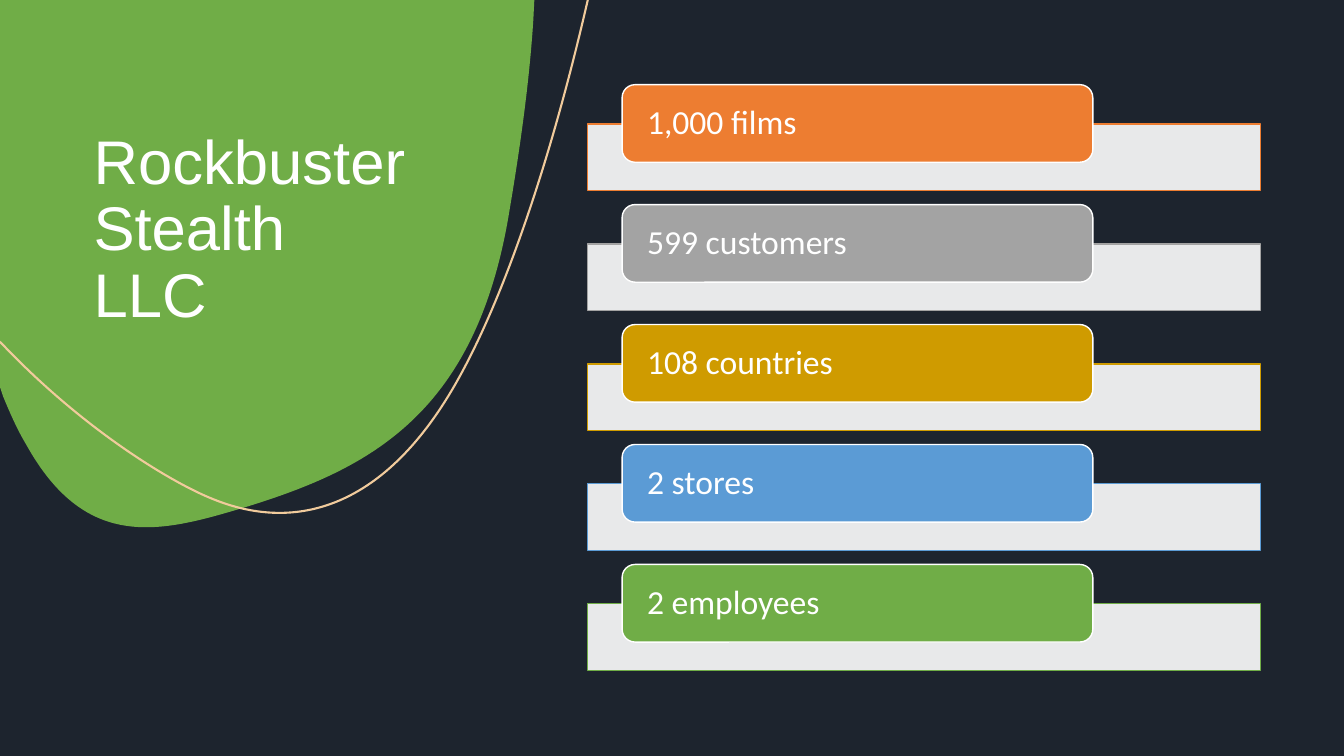
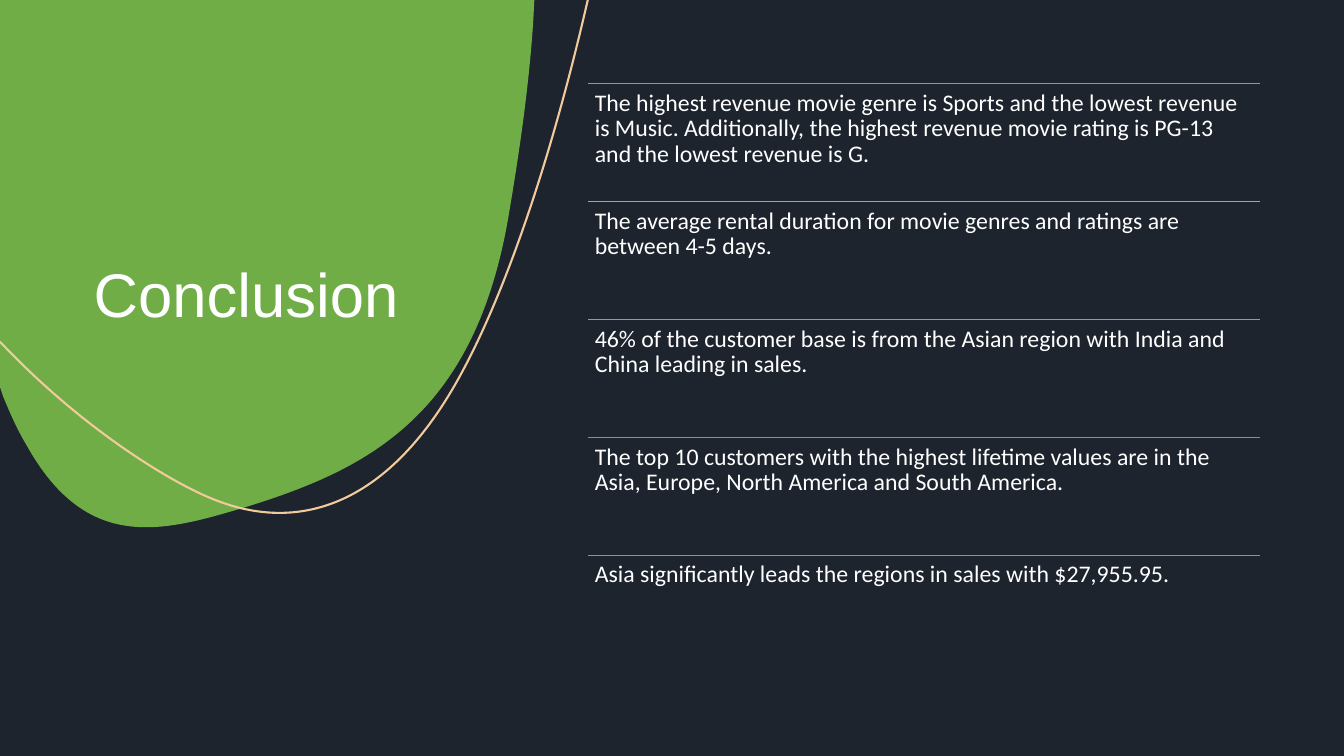
import pptx
import pptx.util
import pptx.dml.color
import pptx.enum.shapes
import pptx.enum.text
import pptx.oxml
import pptx.oxml.ns

Inches = pptx.util.Inches
ANCHOR = pptx.enum.text.MSO_ANCHOR
SHAPE = pptx.enum.shapes.MSO_SHAPE
qn = pptx.oxml.ns.qn

DARK, WHITE, GREEN, CREAM = "1D242E", "FFFFFF", "70AD47", "F1CB9C"
ACCENTS = ["ED7D31", "A3A3A3", "CF9B00", "5B9BD5", GREEN]
LIST_LEFT, LIST_WIDTH = 5.83, 6.67

BLOB_START = (5.3, 0)
BLOB_STEPS = [
    [(5.29, 0.2)],
    [(5.25, 0.82), (5.16, 1.46), (5.05, 2.11)],
    [(4.72, 4.11), (3.67, 4.65), (2.44, 5.03)],
    [(1.61, 5.28), (0.86, 5.49), (0.26, 4.41)],
    [(0.17, 4.26), (0.1, 4.1), (0.03, 3.93)],
    [(0, 3.84)],
    [(0, 0)],
]
SWEEP_START = (5.83, 0)
SWEEP_STEPS = [
    [(5.47, 1.57), (5.01, 2.93), (4.54, 3.77)],
    [(3.83, 5.04), (2.94, 5.29), (2.11, 4.95)],
    [(1.73, 4.8), (0.84, 4.28), (0, 3.39)],
]

FACTS = ["1,000 films", "599 customers", "108 countries", "2 stores", "2 employees"]
FINDINGS = [
    "The highest revenue movie genre is Sports and the lowest revenue is Music. "
    "Additionally, the highest revenue movie rating is PG-13 and the lowest revenue is G.",
    "The average rental duration for movie genres and ratings are between 4-5 days.",
    "46% of the customer base is from the Asian region with India and China leading in sales.",
    "The top 10 customers with the highest lifetime values are in the Asia, Europe, "
    "North America and South America.",
    "Asia significantly leads the regions in sales with $27,955.95.",
]


def colour(value):
    return pptx.dml.color.RGBColor.from_string(value)


def paint(shape, fill=None, line=None, weight=1):
    shape.shadow.inherit = False
    if fill:
        shape.fill.solid()
        shape.fill.fore_color.rgb = colour(fill)
    else:
        shape.fill.background()
    if line:
        shape.line.color.rgb = colour(line)
        shape.line.width = pptx.util.Pt(weight)
    else:
        shape.line.fill.background()


def write(shape, text, size, font, anchor, inset_x, inset_y):
    frame = shape.text_frame
    frame.word_wrap = True
    frame.vertical_anchor = anchor
    frame.margin_left = frame.margin_right = Inches(inset_x)
    frame.margin_top = frame.margin_bottom = Inches(inset_y)
    para = frame.paragraphs[0]
    para.text = text
    para.alignment = pptx.enum.text.PP_ALIGN.LEFT
    para.line_spacing = 0.9
    para.font.size = pptx.util.Pt(size)
    para.font.name = font
    para.font.color.rgb = colour(WHITE)


def add_box(page, kind, left, top, width, height):
    return page.shapes.add_shape(kind, Inches(left), Inches(top), Inches(width), Inches(height))


def add_text(page, left, top, width, height, *style):
    box = page.shapes.add_textbox(Inches(left), Inches(top), Inches(width), Inches(height))
    write(box, *style)


def add_curve(page, start, steps, height, close):
    points = [(Inches(x), Inches(y)) for step in steps for x, y in step]
    builder = page.shapes.build_freeform(Inches(start[0]), Inches(start[1]))
    builder.add_line_segments(points, close=close)
    shape = builder.convert_to_shape()
    shape.height = Inches(height)
    outline = shape._element.find(".//" + qn("a:path"))
    outline.set("h", str(Inches(height)))
    segments = iter(outline.findall(qn("a:lnTo")))
    for step in steps:
        segment = next(segments)
        if len(step) == 3:
            bezier = pptx.oxml.parse_xml(f'<a:cubicBezTo {pptx.oxml.ns.nsdecls("a")}/>')
            segment.addprevious(bezier)
            for corner in (segment, next(segments), next(segments)):
                bezier.append(corner[0])
                outline.remove(corner)
    return shape


def add_page(deck, title):
    page = deck.slides.add_slide(deck.slide_layouts[6])
    page.background.fill.solid()
    page.background.fill.fore_color.rgb = colour(DARK)
    paint(add_curve(page, BLOB_START, BLOB_STEPS, 5.23, True), GREEN)
    paint(add_curve(page, SWEEP_START, SWEEP_STEPS, 5.09, False), None, CREAM, 1.5)
    add_text(page, 0.83, 0.83, 3.33, 2.5, title, 44, "Arial", ANCHOR.BOTTOM, 0.1, 0.05)
    return page


def add_fact(page, left, top, width, text, accent):
    bar = add_box(page, SHAPE.RECTANGLE, left, top + 0.39, width, 0.66)
    paint(bar, WHITE, accent)
    white = bar._element.spPr.find(qn("a:solidFill"))[0]
    white.append(pptx.oxml.parse_xml(f'<a:alpha {pptx.oxml.ns.nsdecls("a")} val="90000"/>'))
    label = add_box(page, SHAPE.ROUNDED_RECTANGLE, left + 0.34, top, width * 0.7, 0.77)
    paint(label, accent, WHITE)
    write(label, text, 24, "Calibri", ANCHOR.MIDDLE, 0.21, 0)


def add_finding(page, left, top, width, text, accent):
    rule = page.shapes.add_connector(
        pptx.enum.shapes.MSO_CONNECTOR.STRAIGHT,
        Inches(left), Inches(top), Inches(left + width), Inches(top))
    rule.line.color.rgb = colour(accent)
    rule.line.width = pptx.util.Pt(1)
    rule._element.spPr.append(pptx.oxml.parse_xml(f'<a:effectLst {pptx.oxml.ns.nsdecls("a")}/>'))
    add_text(page, left, top, width, 1.17, text, 17, "Calibri", ANCHOR.TOP, 0.07, 0.07)


def add_list(page, add_item, texts, top, pitch):
    for index, (text, accent) in enumerate(zip(texts, ACCENTS)):
        add_item(page, LIST_LEFT, top + index * pitch, LIST_WIDTH, text, accent)


def main():
    deck = pptx.Presentation()
    deck.slide_width, deck.slide_height = Inches(13.33), Inches(7.5)
    add_list(add_page(deck, "Rockbuster Stealth LLC"), add_fact, FACTS, 0.84, 1.19)
    add_list(add_page(deck, "Conclusion"), add_finding, FINDINGS, 0.83, 1.17)
    deck.save("out.pptx")


if __name__ == "__main__":
    main()
